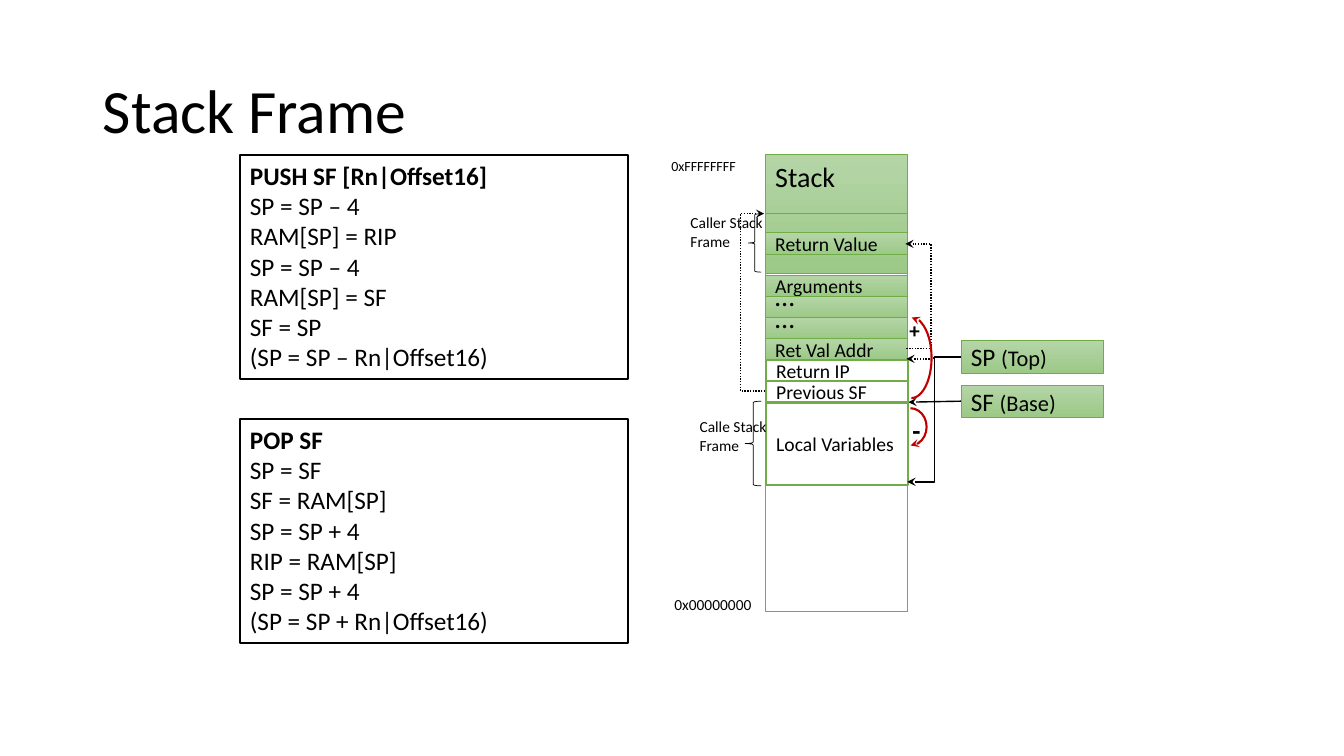
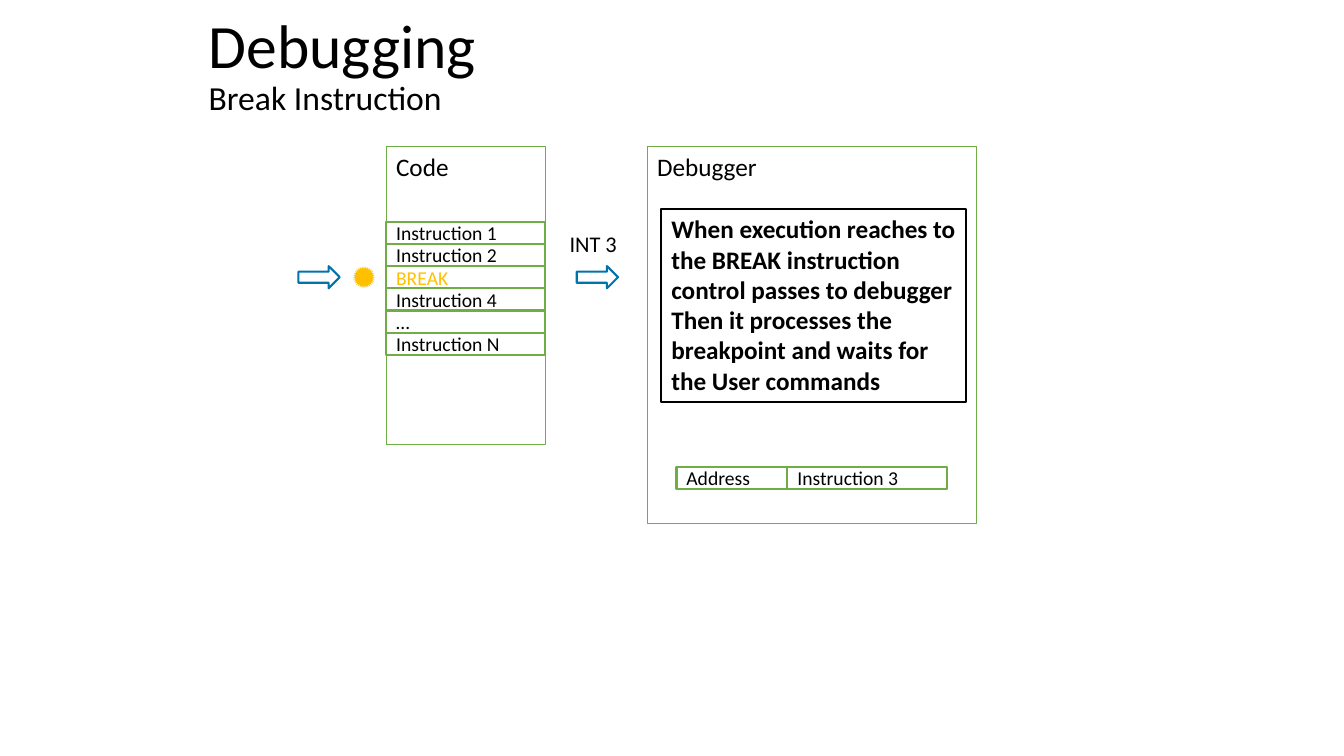
from dataclasses import dataclass

from lxml import etree
from pptx import Presentation
from pptx.dml.color import RGBColor
from pptx.enum import dml, shapes, text
from pptx.oxml import ns
from pptx.util import Inches, Pt


@dataclass(frozen=True)
class Theme:
    font: str = "Calibri"
    ink: str = "000000"
    green: str = "70AD47"
    green_top: str = "B5D5A7"
    green_bottom: str = "9CC987"
    red: str = "C00000"
    blue: str = "0072AC"
    amber: str = "FFC000"
    title: int = 44
    subtitle: int = 24
    heading: int = 20
    body: int = 18
    note: int = 16
    row: int = 14
    label: int = 11
    address: int = 10
    thin: float = 0.5
    medium: float = 1
    thick: float = 1.5


@dataclass(frozen=True)
class Box:
    left: float
    top: float
    width: float
    height: float

    def inner(self, left, top, width, height):
        return Box(self.left + left, self.top + top, width, height)

    def point(self, left, top):
        return Inches(self.left + left), Inches(self.top + top)

    def lengths(self):
        return [Inches(side) for side in (self.left, self.top, self.width, self.height)]


THEME = Theme()
SHAPE = shapes.MSO_SHAPE
ANCHOR = text.MSO_ANCHOR


def style_span(span, size, bold=False, colour=THEME.ink):
    span.font.name = THEME.font
    span.font.size = Pt(size)
    span.font.bold = bold
    span.font.color.rgb = RGBColor.from_string(colour)


def write(shape, words, size, bold=False, colour=THEME.ink, anchor=ANCHOR.TOP, wrap=True):
    frame = shape.text_frame
    frame.word_wrap = wrap
    frame.vertical_anchor = anchor
    frame.text = words
    for para in frame.paragraphs:
        para.alignment = text.PP_ALIGN.LEFT
        for span in para.runs:
            style_span(span, size, bold, colour)


def set_line(shape, colour, weight, arrow=False, dash=None):
    shape.line.color.rgb = RGBColor.from_string(colour)
    shape.line.width = Pt(weight)
    if dash:
        shape.line.dash_style = dash
    if arrow:
        outline = shape.element.spPr.find(ns.qn("a:ln"))
        etree.SubElement(outline, ns.qn("a:tailEnd"), type="stealth")


def draw(page, kind, box, colour=None, weight=THEME.thin, arrow=False):
    shape = page.shapes.add_shape(kind, *box.lengths())
    shape.shadow.inherit = False
    shape.fill.background()
    if colour:
        set_line(shape, colour, weight, arrow)
    else:
        shape.line.fill.background()
    return shape


def green_cell(page, box, words="", size=THEME.row, shaded=False, weight=THEME.thin,
               anchor=ANCHOR.MIDDLE, colour=THEME.ink):
    cell = draw(page, SHAPE.RECTANGLE, box, THEME.green, weight)
    if shaded:
        cell.fill.gradient()
        cell.fill.gradient_angle = 270
        for stop, shade in zip(cell.fill.gradient_stops, (THEME.green_top, THEME.green_bottom)):
            stop.color.rgb = RGBColor.from_string(shade)
    if words:
        write(cell, words, size, colour=colour, anchor=anchor)
    return cell


def label(page, box, words, size, bold=False, wrap=True):
    write(page.shapes.add_textbox(*box.lengths()), words, size, bold, wrap=wrap)


def text_panel(page, box, lines, bold=False):
    panel = draw(page, SHAPE.RECTANGLE, box, THEME.ink, THEME.thick)
    write(panel, "\n".join(lines), THEME.body, bold)
    return panel


def connect(page, box, start, end, bend=None, colour=THEME.ink, arrow=True, dash=None):
    kind = shapes.MSO_CONNECTOR.STRAIGHT if bend is None else shapes.MSO_CONNECTOR.ELBOW
    link = page.shapes.add_connector(kind, *box.point(*start), *box.point(*end))
    set_line(link, colour, THEME.medium, arrow, dash)
    etree.SubElement(link.element.spPr, ns.qn("a:effectLst"))
    if bend is not None:
        ratio = (bend - start[0]) / (end[0] - start[0])
        guides = link.element.spPr.find(ns.qn("a:prstGeom")).get_or_add_avLst()
        etree.SubElement(guides, ns.qn("a:gd"), name="adj1", fmla=f"val {round(ratio * 100000)}")
    return link


def add_page(deck, box, title, subtitle=None):
    page = deck.slides.add_slide(deck.slide_layouts[5])
    heading = page.shapes.title
    heading.left, heading.top, heading.width, heading.height = box.lengths()
    write(heading, f"{title}\v{subtitle}" if subtitle else title, THEME.title, anchor=ANCHOR.MIDDLE)
    heading.text_frame.auto_size = text.MSO_AUTO_SIZE.NONE
    para = heading.text_frame.paragraphs[0]
    para.line_spacing = 0.9
    if subtitle:
        para.runs[1].font.size = Pt(THEME.subtitle)
    return page


def pseudocode(page, box, lines):
    panel = text_panel(page, box, lines)
    panel.text_frame.paragraphs[0].runs[0].font.bold = True


def stack_cells(page, box):
    green_cell(page, box)
    green_cell(page, box.inner(0, 0, box.width, 1.18), "Stack", THEME.heading, True,
               anchor=ANCHOR.TOP)
    connect(page, box, (0, 0.59), (box.width, 0.59), colour=THEME.green, arrow=False)
    row_height = 0.21
    green_cell(page, box.inner(0, 0.78, box.width, row_height), "Return Value", shaded=True)
    rows = ["Arguments", "…", "…", "Ret Val Addr", "Return IP", "Previous SF"]
    for index, words in enumerate(rows):
        dots = words == "…"
        caller = index < 4
        row_box = box.inner(0 if caller else 0.01, 1.2 + index * row_height, box.width, row_height)
        green_cell(page, row_box, words, THEME.heading if dots else THEME.row, caller,
                   THEME.thin if caller else THEME.thick,
                   ANCHOR.BOTTOM if dots else ANCHOR.MIDDLE)
    green_cell(page, box.inner(0.01, 2.47, box.width, 0.81), "Local Variables", weight=THEME.thick)


def stack_labels(page, box):
    label(page, box.inner(-1.03, -0.02, 1.04, 0.27), "0xFFFFFFFF", THEME.address)
    label(page, box.inner(-1, 4.32, 1.04, 0.29), "0x00000000", THEME.label)
    frames = [
        ("Caller Stack Frame", (-0.84, 0.54), (-0.17, 0.59, 0.13, 0.58)),
        ("Calle Stack Frame", (-0.75, 2.56), (-0.2, 2.45, 0.16, 0.84)),
    ]
    for words, place, brace in frames:
        draw(page, SHAPE.RIGHT_BRACE, box.inner(*brace), THEME.ink).rotation = 180
        label(page, box.inner(*place, 0.95, 0.47), words, THEME.label)


def stack_pointers(page, box):
    registers = []
    for name, role, top in (("SP ", "(Top)", 1.85), ("SF ", "(Base)", 2.29)):
        register = green_cell(page, box.inner(1.94, top, 1.41, 0.32), name, THEME.body, True)
        span = register.text_frame.paragraphs[0].add_run()
        span.text = role
        style_span(span, THEME.note)
        registers.append(register)
    connect(page, box, (1.94, 2.01), (1.41, 3.25), 1.68)
    connect(page, box, (1.94, 2.45), (1.42, 2.46)).begin_connect(registers[1], 1)
    dotted_links = [
        ((1.94, 2.01), (1.4, 2.03), 1.67),
        ((0, 2.35), (-0.01, 0.59), -0.25),
        ((1.4, 1.93), (1.39, 0.89), 1.65),
    ]
    for start, end, bend in dotted_links:
        connect(page, box, start, end, bend, dash=dml.MSO_LINE.ROUND_DOT)


def offset_arrows(page, box):
    offsets = [
        ("-", 19, (1.36, 2.53, 0.28, 0.42), (1.28, 2.52, 0.32, 0.37), False),
        ("+", 15, (1.33, 1.57, 0.31, 0.35), (1.25, 1.62, 0.4, 0.8), True),
    ]
    for sign, size, sign_box, arc_box, upward in offsets:
        arc = draw(page, SHAPE.ARC, box.inner(*arc_box), THEME.red, THEME.thick, True)
        arc.adjustments[0] = 162
        arc.adjustments[1] = 53.74
        if upward:
            arc.element.spPr.find(ns.qn("a:xfrm")).set("flipV", "1")
        label(page, box.inner(*sign_box), sign, size, True, wrap=False)


def stack_frame_page(deck):
    page = add_page(deck, Box(0.92, 0.4, 11.5, 1.45), "Stack Frame")
    pseudocode(page, Box(2.38, 1.54, 3.85, 2.22), [
        "PUSH SF [Rn|Offset16]", "SP = SP – 4", "RAM[SP] = RIP", "SP = SP – 4",
        "RAM[SP] = SF", "SF = SP", "(SP = SP – Rn|Offset16)"])
    pseudocode(page, Box(2.38, 4.16, 3.85, 2.22), [
        "POP SF", "SP = SF", "SF = RAM[SP]", "SP = SP + 4",
        "RIP = RAM[SP]", "SP = SP + 4", "(SP = SP + Rn|Offset16)"])
    stack = Box(7.59, 1.53, 1.41, 4.54)
    for region in (stack_cells, stack_labels, stack_pointers, offset_arrows):
        region(page, stack)


def code_panel(page, box):
    green_cell(page, box, "Code", THEME.body, anchor=ANCHOR.TOP)
    row_height = 0.22
    rows = ["Instruction 1", "Instruction 2", "BREAK", "Instruction 4", "…", "Instruction N"]
    for index, words in enumerate(rows):
        green_cell(page, box.inner(0, 0.75 + index * row_height, box.width, row_height), words,
                   weight=THEME.thick, colour=THEME.amber if words == "BREAK" else THEME.ink)
    marker = draw(page, SHAPE.STAR_32_POINT, box.inner(-0.33, 1.19, 0.22, 0.22))
    marker.fill.solid()
    marker.fill.fore_color.rgb = RGBColor.from_string(THEME.amber)
    for left in (-0.87, 1.89):
        draw(page, SHAPE.RIGHT_ARROW, box.inner(left, 1.19, 0.41, 0.22), THEME.blue, THEME.thick)
    label(page, box.inner(1.72, 0.78, 0.68, 0.37), "INT 3", THEME.note, wrap=False)


def debugger_panel(page, box):
    green_cell(page, box, "Debugger", THEME.body, anchor=ANCHOR.TOP)
    for words, left, width in (("Instruction 3", 1.39, 1.58), ("Address", 0.29, 1.1)):
        green_cell(page, box.inner(left, 3.18, width, 0.22), words, weight=THEME.thick)
    text_panel(page, box.inner(0.14, 0.62, 3.02, 1.92), [
        "When execution reaches to the BREAK instruction control passes to debugger",
        "Then it processes the breakpoint and waits for the User commands"], bold=True)


def debugging_page(deck):
    page = add_page(deck, Box(1.97, 0.06, 9.5, 1.2), "Debugging", "Break Instruction")
    code_panel(page, Box(3.83, 1.45, 1.58, 2.96))
    debugger_panel(page, Box(6.42, 1.45, 3.26, 3.74))


def main():
    deck = Presentation()
    deck.slide_width, deck.slide_height = Inches(13.33), Inches(7.5)
    stack_frame_page(deck)
    debugging_page(deck)
    deck.save("out.pptx")


if __name__ == "__main__":
    main()
